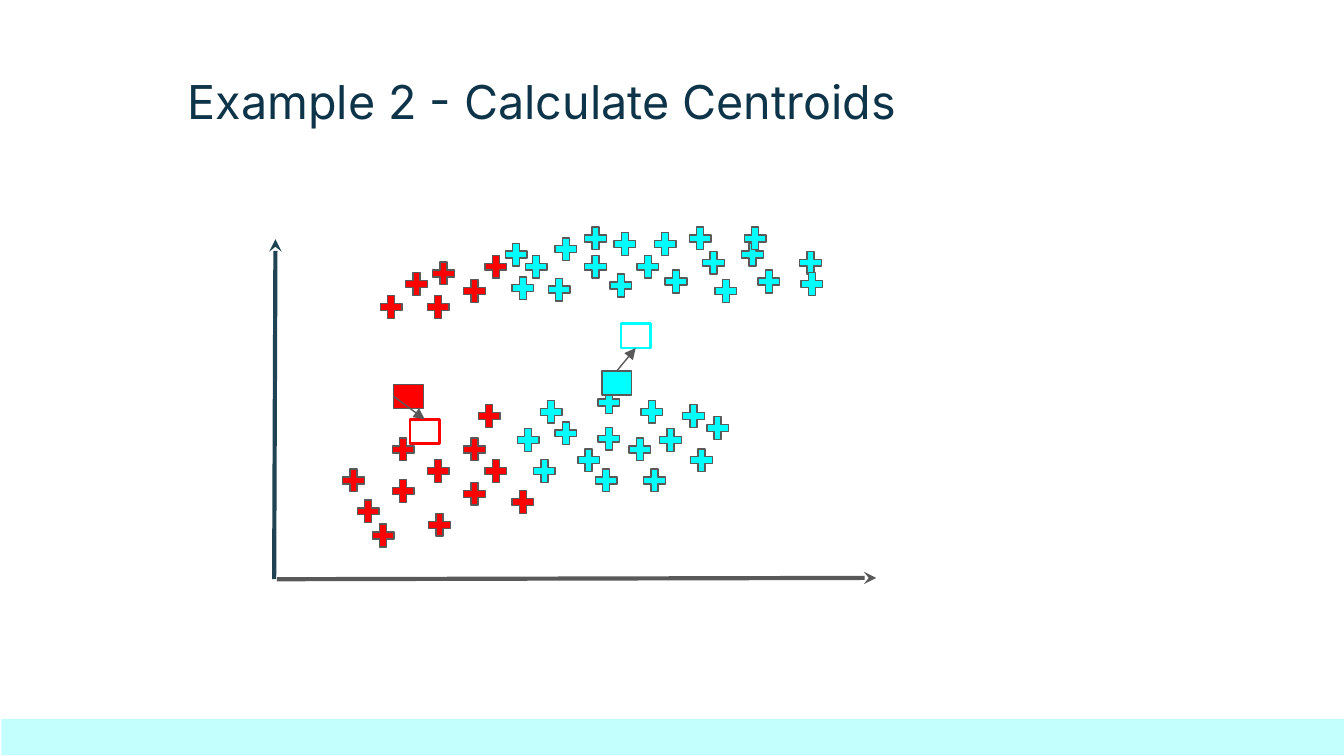
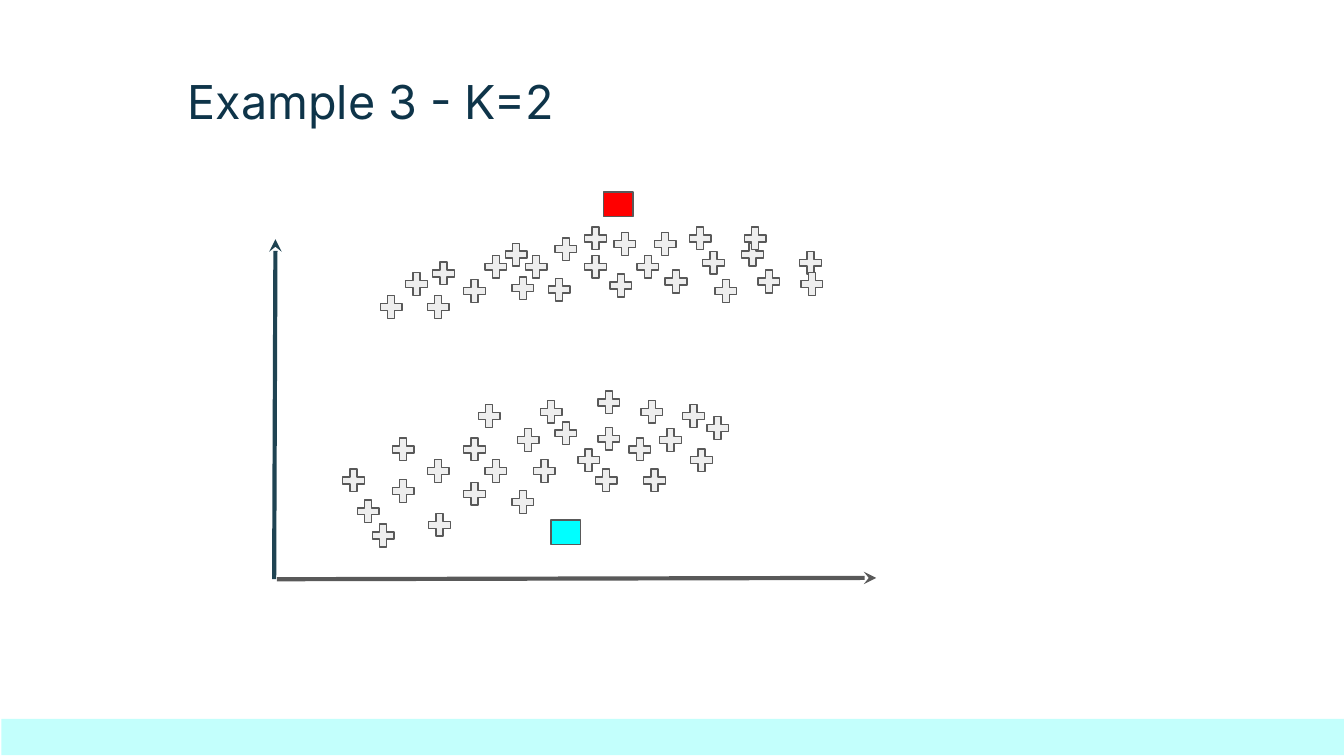
from lxml import etree
from pptx import Presentation, util as u
from pptx.dml import color
from pptx.enum import shapes, text
from pptx.oxml import ns

COLORS = {
    "title": "0E3449", "band": "C3FFFC", "axis": "1F4352", "outline": "595959",
    "red": "FF0000", "cyan": "00FFFF", "unassigned": "EEEEEE",
}
FONT = "Inter"
SLIDE_WIDTH = 10
SLIDE_HEIGHT = SLIDE_WIDTH * 9 / 16
TITLE_BOX = (1.3, 0.44, 5.81, 0.58)
BAND_BOX = (0.01, 5.35, 10, 0.27)
PLOT_ORIGIN = (2, 1)
CROSS_SIZE = (0.22, 0.23)
CENTROID_SIZE = (0.22, 0.18)
TOP, LEFT, BOTTOM = 0, 1, 2

LEFT_POINTS = [
    (0.52, 2.46), (0.74, 2.87), (0.89, 2.54), (1.16, 2.79), (0.89, 2.23), (1.53, 1.98),
    (1.78, 2.62), (1.15, 2.39), (1.42, 2.56), (1.42, 2.23), (1.58, 2.39), (0.63, 2.69),
    (1.58, 0.87), (1.42, 1.05), (0.99, 1.0), (1.15, 1.17), (0.8, 1.17), (1.19, 0.92),
]
RIGHT_POINTS = [
    (1.94, 2.39), (1.82, 2.16), (2.1, 2.11), (2.27, 2.31), (1.99, 1.95), (2.42, 2.15),
    (2.65, 2.23), (2.42, 1.88), (2.74, 1.95), (3.23, 2.07), (2.4, 2.46), (2.88, 2.16),
    (3.05, 1.98), (2.76, 2.46), (3.11, 2.31), (1.73, 0.78), (1.78, 1.03), (1.88, 0.87),
    (2.05, 1.04), (2.1, 0.74), (2.32, 0.66), (2.32, 0.87), (2.54, 0.7), (2.71, 0.87),
    (2.51, 1.01), (2.84, 0.7), (2.92, 0.98), (3.1, 0.66), (3.2, 0.84), (3.29, 1.05),
    (3.49, 0.78), (3.61, 0.98), (3.51, 0.66), (3.92, 0.84), (3.93, 1.0),
]


def rgb(name):
    """Return the named palette colour."""
    return color.RGBColor.from_string(COLORS[name])


def inches(values):
    """Convert numbers to inch lengths."""
    return [u.Inches(value) for value in values]


def shift(origin, point):
    """Move a point given relative to an origin onto the slide."""
    return origin[0] + point[0], origin[1] + point[1]


def add_box(slide, kind, box, fill=None, line=None, width=0.75):
    """Add a preset shape with optional fill and outline."""
    shape = slide.shapes.add_shape(kind, *inches(box))
    shape.shadow.inherit = False
    if fill:
        shape.fill.solid()
        shape.fill.fore_color.rgb = rgb(fill)
    else:
        shape.fill.background()
    if line:
        shape.line.color.rgb = rgb(line)
        shape.line.width = u.Pt(width)
    else:
        shape.line.fill.background()
    return shape


def add_arrow(slide, start, end, line, width, head):
    """Add a straight line with an arrowhead at its end."""
    arrow = slide.shapes.add_connector(shapes.MSO_CONNECTOR.STRAIGHT, *inches(start + end))
    arrow.line.color.rgb = rgb(line)
    arrow.line.width = u.Pt(width)
    outline = arrow.line._get_or_add_ln()
    etree.SubElement(outline, ns.qn("a:tailEnd"), type=head)
    etree.SubElement(arrow._element.spPr, ns.qn("a:effectLst"))
    return arrow


def add_title(slide, box, title):
    """Write the slide title in its box."""
    shape = slide.shapes.add_textbox(*inches(box))
    frame = shape.text_frame
    frame.word_wrap = True
    frame.vertical_anchor = text.MSO_ANCHOR.TOP
    frame.margin_left = frame.margin_right = u.Inches(0.1)
    frame.margin_top = frame.margin_bottom = u.Inches(0.1)
    frame.text = title
    font = frame.paragraphs[0].runs[0].font
    font.name, font.size = FONT, u.Pt(25)
    font.color.rgb = rgb("title")


def add_axes(slide, origin):
    """Draw the vertical and horizontal axes of the plot."""
    for start, end, line in [
        ((0.04, 3.31), (0.05, 0.78), "axis"),
        ((0.06, 3.31), (4.52, 3.3), "outline"),
    ]:
        add_arrow(slide, shift(origin, start), shift(origin, end), line, 2.25, "stealth")


def add_crosses(slide, origin, points, fill):
    """Plot one cluster of data points as crosses."""
    for point in points:
        box = shift(origin, point) + CROSS_SIZE
        cross = add_box(slide, shapes.MSO_SHAPE.MATH_PLUS, box, fill, "outline")
        cross.adjustments[0] = 0.235


def add_centroid(slide, origin, point, fill=None, line="outline", width=0.75):
    """Plot one centroid as a small rectangle."""
    box = shift(origin, point) + CENTROID_SIZE
    return add_box(slide, shapes.MSO_SHAPE.RECTANGLE, box, fill, line, width)


def add_centroid_move(slide, origin, old_point, new_point, name, sides):
    """Plot a centroid, its new hollow position and the arrow joining them."""
    old = add_centroid(slide, origin, old_point, fill=name)
    new = add_centroid(slide, origin, new_point, line=name, width=1.5)
    arrow = add_arrow(slide, shift(origin, old_point), shift(origin, new_point),
                      "outline", 0.75, "triangle")
    arrow.begin_connect(old, sides[0])
    arrow.end_connect(new, sides[1])


def add_cluster_slide(presentation, title, left_fill, right_fill):
    """Add a titled slide with the band, axes and both clusters."""
    slide = presentation.slides.add_slide(presentation.slide_layouts[6])
    add_title(slide, TITLE_BOX, title)
    add_box(slide, shapes.MSO_SHAPE.RECTANGLE, BAND_BOX, "band")
    add_axes(slide, PLOT_ORIGIN)
    add_crosses(slide, PLOT_ORIGIN, LEFT_POINTS, left_fill)
    add_crosses(slide, PLOT_ORIGIN, RIGHT_POINTS, right_fill)
    return slide


def main():
    """Build and save the presentation."""
    presentation = Presentation()
    presentation.slide_width = u.Inches(SLIDE_WIDTH)
    presentation.slide_height = u.Inches(SLIDE_HEIGHT)

    slide = add_cluster_slide(presentation, "Example 2 - Calculate Centroids", "red", "cyan")
    add_centroid_move(slide, PLOT_ORIGIN, (2.48, 1.76), (2.62, 1.41), "cyan", (TOP, BOTTOM))
    add_centroid_move(slide, PLOT_ORIGIN, (0.93, 1.86), (1.05, 2.12), "red", (LEFT, TOP))

    slide = add_cluster_slide(presentation, "Example 3 - K=2", "unassigned", "unassigned")
    add_centroid(slide, PLOT_ORIGIN, (2.1, 2.87), "cyan")
    add_centroid(slide, PLOT_ORIGIN, (2.49, 0.43), "red")

    presentation.save("out.pptx")


if __name__ == "__main__":
    main()
